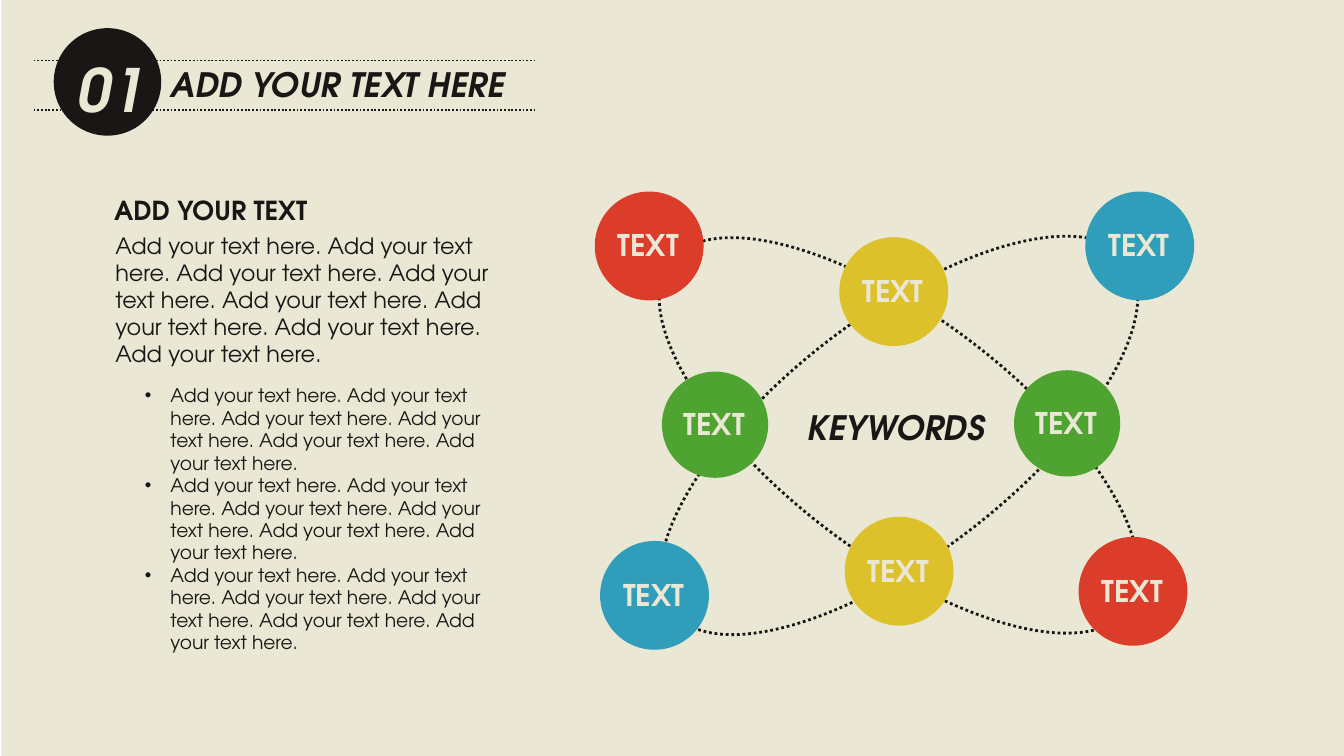
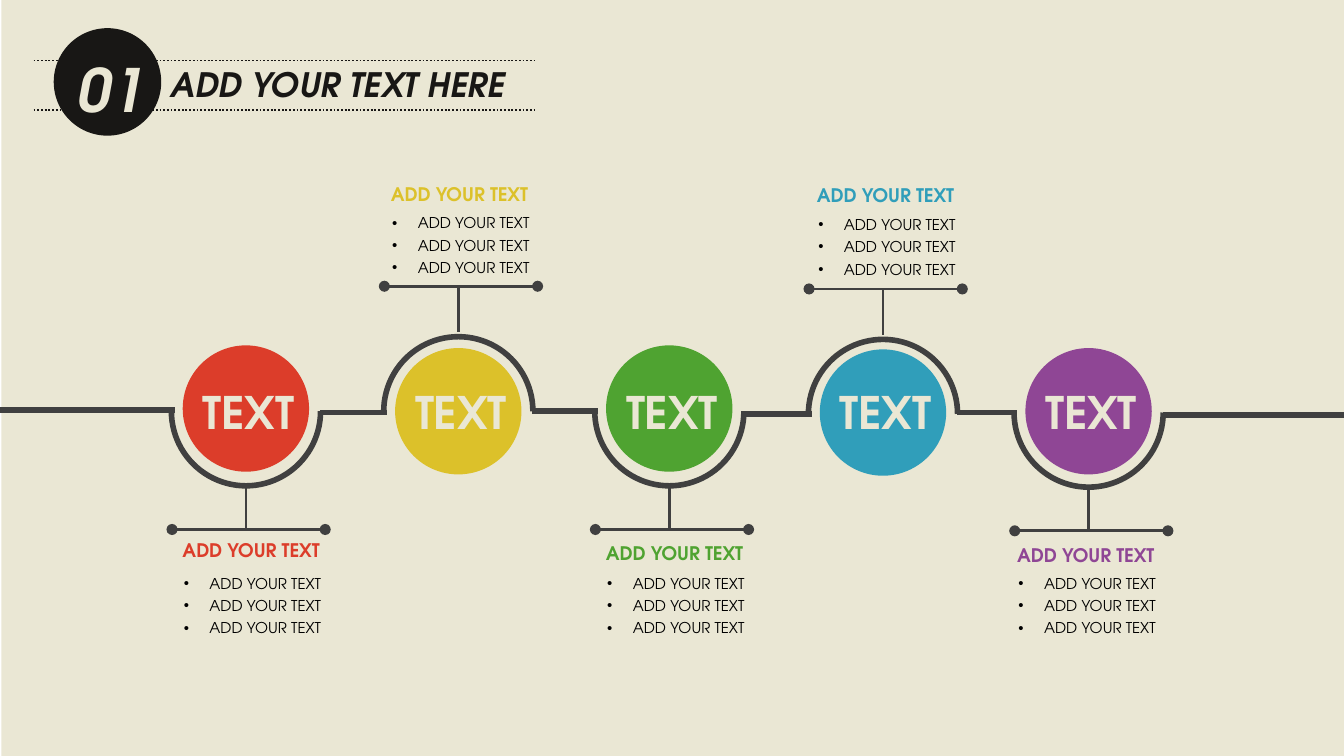
import pptx
import pptx.util
import pptx.dml.color
import pptx.enum.dml
import pptx.enum.shapes
import pptx.enum.text
import pptx.oxml.ns
from lxml import etree

# Content
HEAD = ("01", "ADD YOUR TEXT HERE")
ASK = "Add your text here."
LEAD = "ADD YOUR TEXT"
BODY = [" ".join([ASK] * 7), ASK]
POINTS = [" ".join([ASK] * 6)] * 3
ITEMS = [LEAD] * 3
KEY = "KEYWORDS"
WORD = "TEXT"

# Look
W, H = 10, 5.625
FACE = "TeX Gyre Adventor"
INK, SAND, GREY, BLACK = "181715", "EAE7D4", "404040", "000000"
RED, GOLD, GREEN, BLUE, PLUM = "DC3D2A", "DCC12A", "4FA331", "309EBA", "8F4695"

# Keyword map: centre x, centre y, diameter, colour
NODES = [
    (6.65, 2.17, 0.81, GOLD), (4.83, 1.83, 0.81, RED),
    (8.48, 1.83, 0.81, BLUE), (5.32, 3.16, 0.79, GREEN),
    (4.87, 4.43, 0.81, BLUE), (8.43, 4.4, 0.81, RED),
    (6.69, 4.25, 0.81, GOLD), (7.94, 3.15, 0.79, GREEN),
]
ORBITS = [37.2, 322.3]

# Timeline: centre x, arc centre y, disc centre y, side, heading left and top, colour
STEPS = [
    (1.83, 3.06, 3.04, 1, 1.26, 3.96, RED),
    (3.41, 3.06, 3.06, -1, 2.81, 1.31, GOLD),
    (4.98, 3.06, 3.04, 1, 4.41, 3.98, GREEN),
    (6.57, 3.08, 3.07, -1, 5.98, 1.32, BLUE),
    (8.1, 3.07, 3.06, 1, 7.47, 4, PLUM),
]
TRACK = [3.05, 3.07, 3.06, 3.08, 3.07, 3.09]
DISC, RIM = 0.94, 1.11

SHAPE = pptx.enum.shapes.MSO_SHAPE
DOTS = pptx.enum.dml.MSO_LINE.ROUND_DOT
MID = pptx.enum.text.PP_ALIGN.CENTER


def inch(*nums):
    return [pptx.util.Inches(n) for n in nums]


def tint(code):
    return pptx.dml.color.RGBColor.from_string(code)


def node(parent, tag, **attrs):
    return etree.SubElement(parent, pptx.oxml.ns.qn(tag), attrs)


def stroke(line, code, width, dots=False):
    line.color.rgb = tint(code)
    line.width = pptx.util.Pt(width)
    if dots:
        line.dash_style = DOTS


def form(slide, kind, box, fill=None, line=None):
    shape = slide.shapes.add_shape(kind, *inch(*box))
    shape.shadow.inherit = False
    if fill:
        shape.fill.solid()
        shape.fill.fore_color.rgb = tint(fill)
    else:
        shape.fill.background()
    if line:
        stroke(shape.line, *line)
    else:
        shape.line.fill.background()
    return shape


def disc(slide, x, y, size, fill):
    form(slide, SHAPE.OVAL, (x - size / 2, y - size / 2, size, size), fill)


def rule(slide, start, end, code, width, dots=False, knobs=False):
    link = slide.shapes.add_connector(
        pptx.enum.shapes.MSO_CONNECTOR.STRAIGHT, *inch(*start, *end))
    stroke(link.line, code, width, dots)
    if knobs:
        for tag in ("a:headEnd", "a:tailEnd"):
            node(link.line._get_or_add_ln(), tag, type="oval")
    node(link._element.spPr, "a:effectLst")


def text(slide, box, lines, size, code, bold=False, slant=False,
         wrap=False, dot=False, align=None, pitch=None):
    frame = slide.shapes.add_textbox(*inch(*box)).text_frame
    frame.word_wrap = wrap
    frame.auto_size = pptx.enum.text.MSO_AUTO_SIZE.SHAPE_TO_FIT_TEXT
    for i, words in enumerate(lines):
        para = frame.paragraphs[0] if i == 0 else frame.add_paragraph()
        para.text = words
        if align:
            para.alignment = align
        if pitch:
            para.line_spacing = pptx.util.Pt(pitch)
        if dot:
            props = para._p.get_or_add_pPr()
            hang = inch(0.19)[0]
            props.set("marL", str(hang))
            props.set("indent", str(-hang))
            node(props, "a:buFont", typeface="Arial")
            node(props, "a:buChar", char="•")
        font = para.font
        font.name, font.size = FACE, pptx.util.Pt(size)
        font.bold, font.italic = bold, slant
        font.color.rgb = tint(code)


def base(deck):
    """Add a slide with the shared ground and title band."""
    slide = deck.slides.add_slide(deck.slide_layouts[6])
    form(slide, SHAPE.RECTANGLE, (0.01, 0, W - 0.01, H), SAND)
    for y in (0.45, 0.82):
        rule(slide, (0.25, y), (3.98, y), INK, 1, dots=True)
    disc(slide, 0.8, 0.61, 0.8, INK)
    num, title = HEAD
    text(slide, (1.17, 0.43, 2.76, 0.4), [title], 18, INK, True, True)
    text(slide, (0.48, 0.34, 0.7, 0.64), [num], 32, SAND, True, True)
    return slide


def web(deck):
    slide = base(deck)
    # Orbits and nodes
    for turn in ORBITS:
        ring = form(slide, SHAPE.OVAL, (4.55, 2.36, 4.28, 1.76),
                    line=(INK, 1.5, True))
        ring.rotation = turn
    for spot in NODES:
        disc(slide, *spot)
    for x, y, *_ in NODES:
        text(slide, (x - 0.33, y - 0.19, 0.66, 0.37), [WORD], 16, SAND, True)
    text(slide, (5.91, 2.98, 1.54, 0.4), [KEY], 18, INK, True, True)
    # Left column
    text(slide, (0.76, 1.68, 3.14, 1.11), BODY, 12, INK, wrap=True)
    text(slide, (0.75, 1.4, 1.65, 0.34), [LEAD], 14, INK, True)
    text(slide, (0.98, 2.81, 2.83, 2.29), POINTS, 10, INK, wrap=True, dot=True)


def chain(deck):
    slide = base(deck)
    # Track between the arcs
    mids = [step[0] for step in STEPS]
    starts = [0] + [x + 0.55 for x in mids]
    ends = [x - 0.53 for x in mids] + [W]
    for a, b, y in zip(starts, ends, TRACK):
        rule(slide, (a, y), (b, y), GREY, 3)
    for x, y, hub, side, left, top, code in STEPS:
        down = side > 0
        # Disc, half ring, stem and bar
        disc(slide, x, hub, DISC, code)
        arc = form(slide, SHAPE.ARC, (x - RIM / 2, y - RIM / 2, RIM, RIM),
                   line=(GREY, 3))
        for i, angle in enumerate((0, 180) if down else (180, 0)):
            arc.adjustments[i] = angle * 0.6
        foot, bar = (y + 0.54, y + 0.88) if down else (y - 0.59, y - 0.93)
        rule(slide, (x, foot), (x, bar), GREY, 1.5)
        rule(slide, (x - 0.55, bar), (x + 0.59, bar), GREY, 1.5, knobs=True)
        # Words
        text(slide, (left, top, 1.24, 0.27), [LEAD], 10, code, True)
        row = 4.19 if down else top + 0.2
        text(slide, (left - 0.16, row, 1.56, 0.59), ITEMS, 8, BLACK,
             wrap=True, dot=True, align=MID, pitch=12)
        text(slide, (x - 0.42, 2.81, 0.89, 0.5), [WORD], 24, SAND, True)


def main():
    deck = pptx.Presentation()
    deck.slide_width, deck.slide_height = inch(W, H)
    web(deck)
    chain(deck)
    deck.save("out.pptx")


if __name__ == "__main__":
    main()
